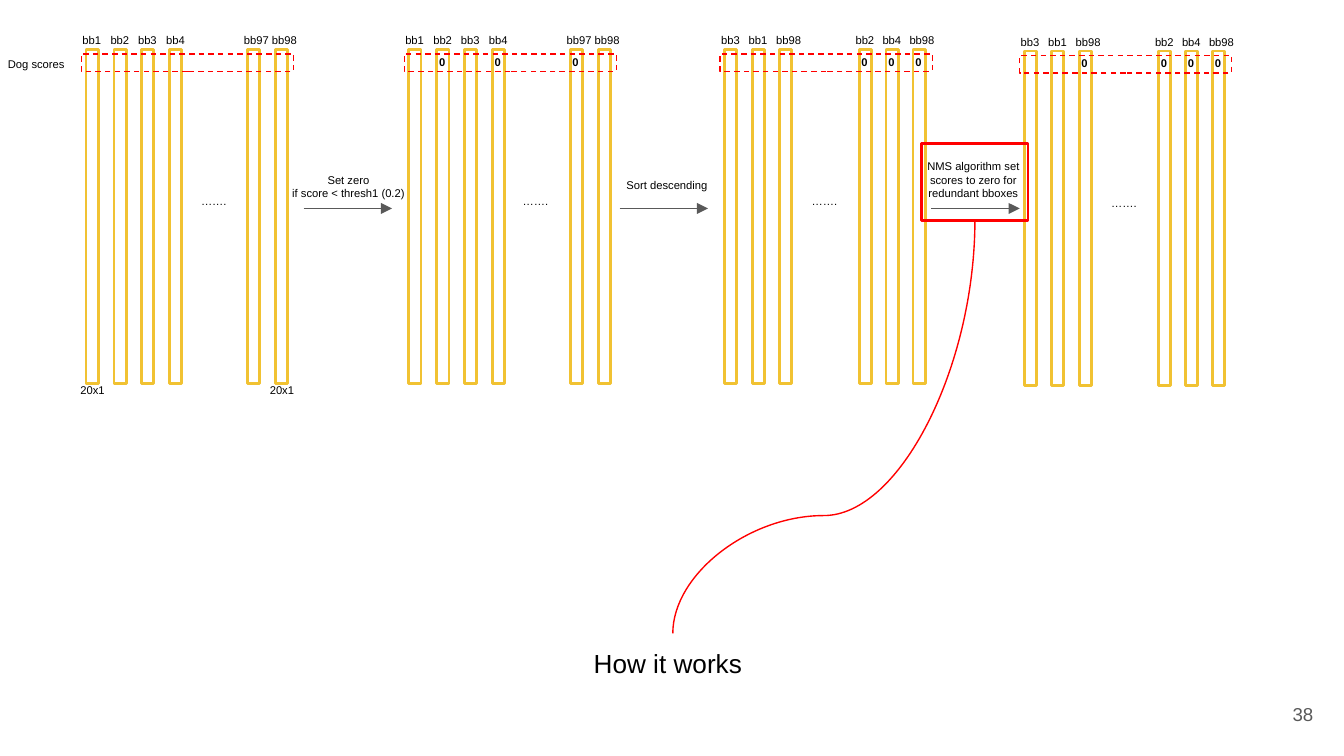
"""Build the slide showing how scores are thresholded, sorted and suppressed."""
import dataclasses
import typing

import lxml.etree
import pptx
import pptx.dml.color
import pptx.enum.dml
import pptx.enum.shapes
import pptx.enum.text
import pptx.oxml.ns
import pptx.util

Cm = pptx.util.Cm
Pt = pptx.util.Pt
qn = pptx.oxml.ns.qn
ALIGN = pptx.enum.text.PP_ALIGN
ANCHOR = pptx.enum.text.MSO_ANCHOR
CONNECTOR = pptx.enum.shapes.MSO_CONNECTOR

COLORS = {"paper": "FFFFFF", "bar": "F1C232", "mark": "FF0000", "text": "000000", "grey": "595959"}
BAR_LENGTH, BAR_WIDTH, BAR_TOP = 6.32, 0.23, 3.98
FOUR_TWO = (0, 0.53, 1.05, 1.58, 3.05, 3.58)
THREE_THREE = (0, 0.52, 1.04, 2.54, 3.05, 3.56)


@dataclasses.dataclass
class Group:
    """Score columns, with the indexes of those set to zero."""

    x: float
    labels: tuple
    offsets: tuple
    dots: float
    zeros: tuple = ()
    dy: float = 0


@dataclasses.dataclass
class Step:
    """Captioned arrow between two groups."""

    x: float
    text_x: float
    text_y: float
    text_h: float
    text: str


ORIGINAL = ("bb1", "bb2", "bb3", "bb4", "bb97", "bb98")
SORTED = ("bb3", "bb1", "bb98", "bb2", "bb4", "bb98")
GROUPS = (
    Group(1.74, ORIGINAL, FOUR_TWO, 1.81),
    Group(7.84, ORIGINAL, FOUR_TWO, 1.79, (1, 3, 4)),
    Group(13.81, SORTED, THREE_THREE, 1.28, (3, 4, 5)),
    Group(19.47, SORTED, THREE_THREE, 1.28, (2, 3, 4, 5), 0.03),
)
STEPS = (
    Step(5.74, 5.11, 3.02, 0.8, "Set zero\nif score < thresh1 (0.2)"),
    Step(11.71, 11.13, 3.12, 0.69, "Sort descending"),
    Step(17.6, 16.92, 2.77, 1.22, "NMS algorithm set\nscores to zero for redundant bboxes"),
)


def rgb(name: str) -> pptx.dml.color.RGBColor:
    return pptx.dml.color.RGBColor.from_string(COLORS[name])


def add_text(s: typing.Any, x: float, y: float, w: float, h: float, text: str, size: float = 6,
             align: typing.Any = ALIGN.LEFT, bold: bool = False, color: str = "text",
             anchor: typing.Any = ANCHOR.TOP) -> None:
    tf = s.shapes.add_textbox(Cm(x), Cm(y), Cm(w), Cm(h)).text_frame
    tf.word_wrap = True
    tf.auto_size = pptx.enum.text.MSO_AUTO_SIZE.NONE
    tf.vertical_anchor = anchor
    tf.margin_left = tf.margin_right = tf.margin_top = Cm(0.25)
    tf.margin_bottom = Cm(0 if anchor == ANCHOR.TOP else 0.25)
    tf.text = text
    for p in tf.paragraphs:
        p.alignment = align
        for r in p.runs:
            r.font.name, r.font.size, r.font.bold = "Arial", Pt(size), bold
            r.font.color.rgb = rgb(color)


def add_rect(s: typing.Any, x: float, y: float, w: float, h: float, line: str, weight: float,
             fill: typing.Optional[str] = None) -> typing.Any:
    sp = s.shapes.add_shape(pptx.enum.shapes.MSO_SHAPE.RECTANGLE, Cm(x), Cm(y), Cm(w), Cm(h))
    sp.shadow.inherit = False
    if fill:
        sp.fill.solid()
        sp.fill.fore_color.rgb = rgb(fill)
    else:
        sp.fill.background()
    sp.line.color.rgb = rgb(line)
    sp.line.width = Pt(weight)
    return sp


def add_line(s: typing.Any, kind: typing.Any, x1: float, y1: float, x2: float, y2: float,
             color: str) -> typing.Any:
    sp = s.shapes.add_connector(kind, Cm(x1), Cm(y1), Cm(x2), Cm(y2))
    sp.line.color.rgb = rgb(color)
    sp.line.width = Pt(0.75)
    lxml.etree.SubElement(sp._element.spPr, qn("a:effectLst"))
    return sp


def draw_group(s: typing.Any, g: Group) -> None:
    centers = [g.x + offset for offset in g.offsets]
    for x in centers:
        bar = add_rect(s, x - BAR_LENGTH / 2, BAR_TOP + g.dy, BAR_LENGTH, BAR_WIDTH,
                       "bar", 1.5, "paper")
        bar.rotation = 90
    for x, label in zip(centers, g.labels):
        add_text(s, x - 0.43, 0.38 + g.dy, 1.07, 0.69, label)
    add_text(s, g.x + g.dots, 3.43 + g.dy, 1.7, 0.51, "…….")
    frame = add_rect(s, g.x - 0.2, 1.02 + g.dy, 4.01, 0.33, "mark", 0.75)
    frame.line.dash_style = pptx.enum.dml.MSO_LINE.DASH
    for i in g.zeros:
        add_text(s, centers[i] - 0.32, 0.79 + g.dy, 0.61, 0.69, "0", align=ALIGN.CENTER, bold=True)


def draw_step(s: typing.Any, step: Step) -> None:
    add_text(s, step.text_x, step.text_y, 2.95, step.text_h, step.text, align=ALIGN.CENTER)
    arrow = add_line(s, CONNECTOR.STRAIGHT, step.x, 3.94, step.x + 1.67, 3.94, "grey")
    lxml.etree.SubElement(arrow.line._get_or_add_ln(), qn("a:tailEnd"), type="triangle")


def draw_callout(s: typing.Any) -> None:
    add_rect(s, 17.42, 2.72, 2.01, 1.45, "mark", 1.5)
    curve = add_line(s, CONNECTOR.CURVE, 11.66, 5.21, 19.48, 10.92, "mark")
    spPr = curve._element.spPr
    spPr.find(qn("a:xfrm")).set("rot", "5400000")
    guides = spPr.find(qn("a:prstGeom")).find(qn("a:avLst"))
    lxml.etree.SubElement(guides, qn("a:gd"), name="adj1", fmla="val 71500")
    add_text(s, 10.97, 11.99, 3.45, 0.85, "How it works", 14)


def main() -> None:
    prs = pptx.Presentation()
    prs.slide_width, prs.slide_height = Cm(25.4), Cm(14.29)
    s = prs.slides.add_slide(prs.slide_layouts[6])
    add_text(s, -0.1, 0.84, 1.8, 0.69, "Dog scores")
    for i, group in enumerate(GROUPS):
        draw_group(s, group)
        if i < len(STEPS):
            draw_step(s, STEPS[i])
    for x in (1.27, 4.85):
        add_text(s, x, 7, 1.07, 0.51, "20x1")
    draw_callout(s)
    add_text(s, 23.55, 12.95, 1.52, 1.09, "38", 10, ALIGN.RIGHT, color="grey", anchor=ANCHOR.MIDDLE)
    prs.save("out.pptx")


if __name__ == "__main__":
    main()
